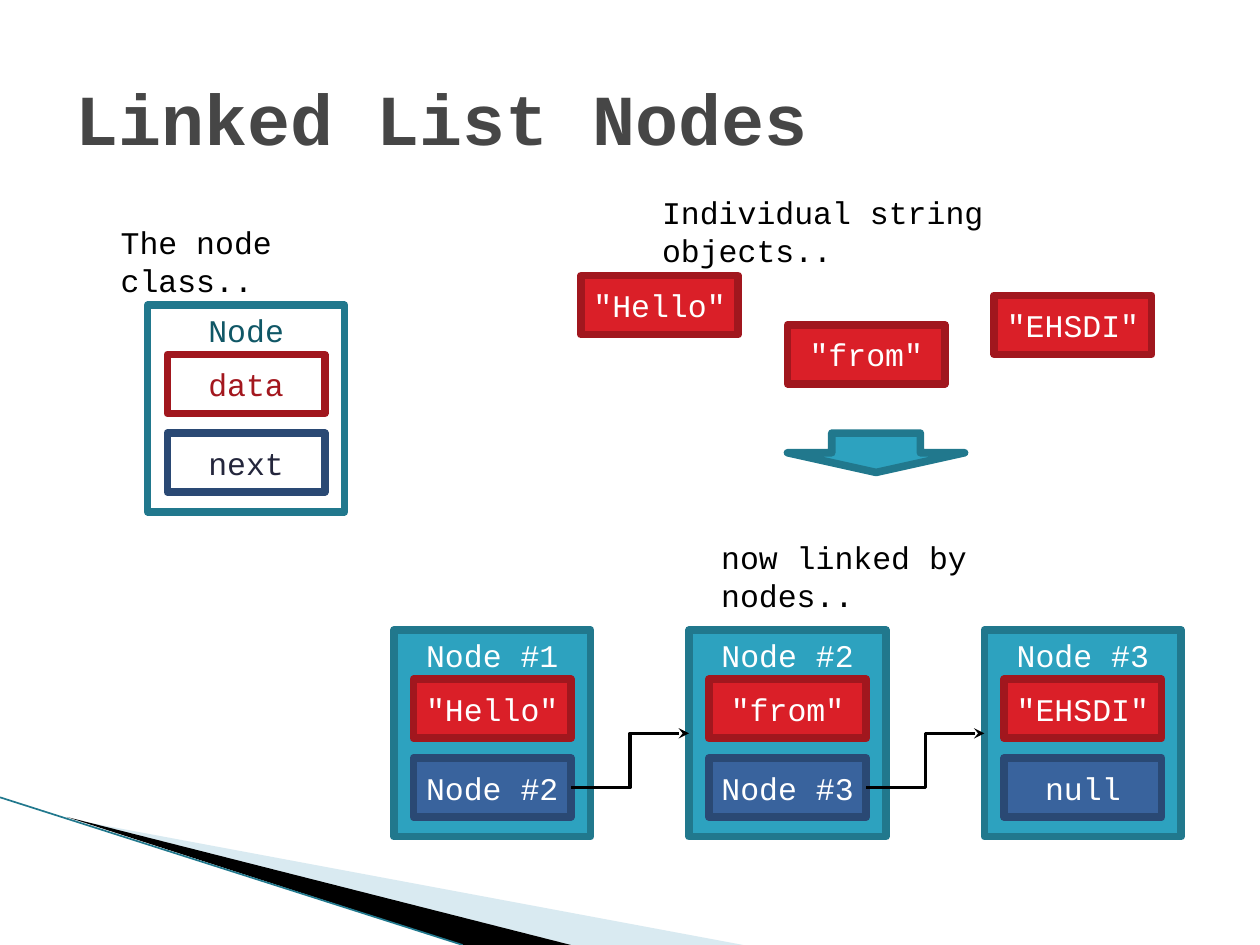
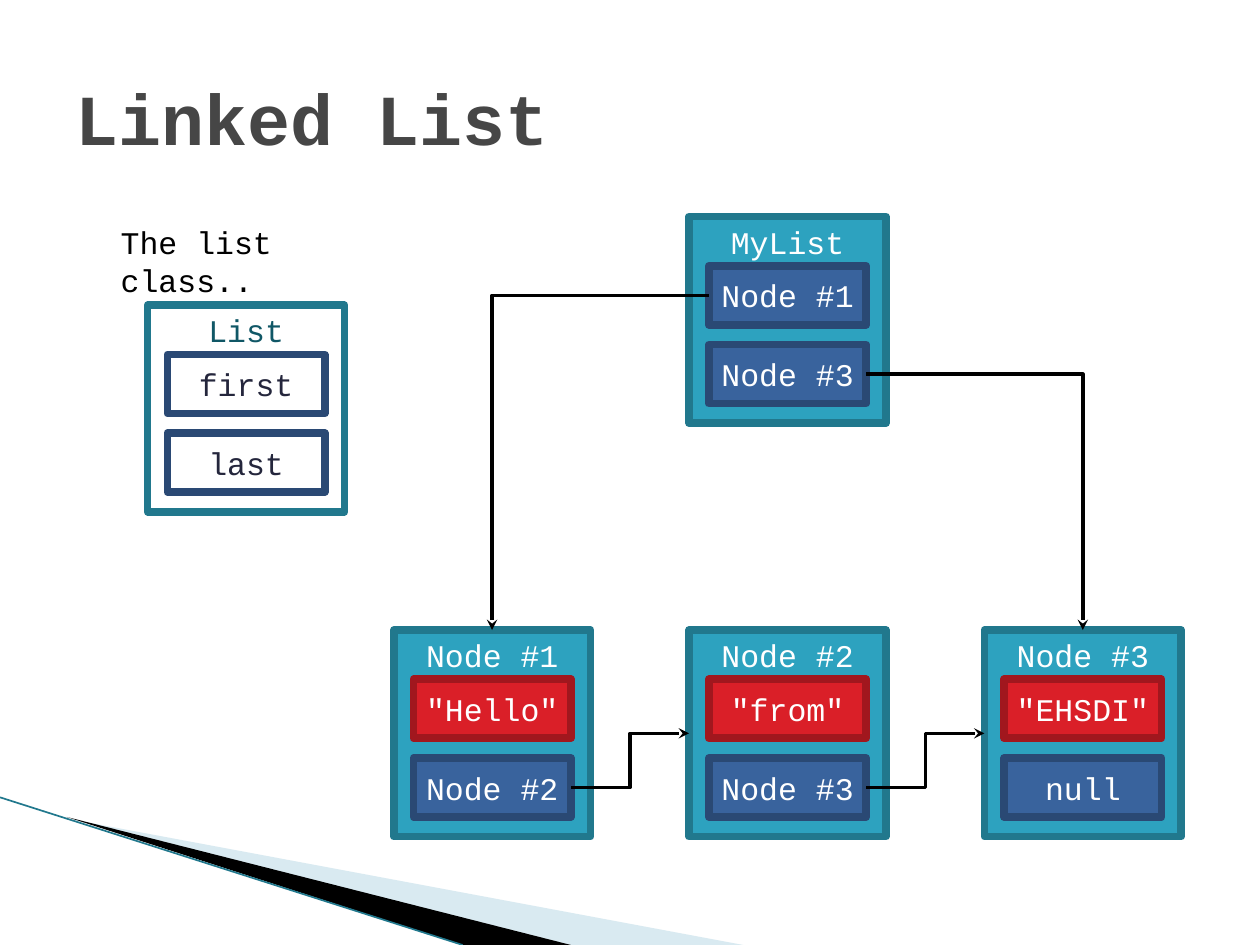
from dataclasses import dataclass

from lxml.etree import SubElement
from pptx import Presentation
from pptx.dml.color import RGBColor as Rgb
from pptx.enum.shapes import MSO_CONNECTOR as Connector, MSO_SHAPE as Preset
from pptx.enum.text import MSO_ANCHOR as Anchor, PP_ALIGN as Align
from pptx.oxml.ns import qn
from pptx.util import Inches, Pt

WIDTH, HEIGHT = Inches(10), Inches(7.5)
UNIT = WIDTH / 64
TOP, LEFT, BOTTOM, RIGHT = range(4)
NODE_SIZE = (10, 10.5)
FIELD_SIZE = (8, 3)
FIELD_OFFSETS = ((1, 2.5), (1, 6.5))


@dataclass(frozen=True)
class Look:
    """Fill, outline and text colour of a box; no fill means outline only."""
    fill: str | None
    line: str
    text: str


@dataclass(frozen=True)
class Theme:
    """Colours, font and type sizes shared by the slides."""
    font: str = "Courier New"
    title_size: int = 41
    body_size: int = 18
    border: float = 4.33
    title: str = "464646"
    ink: str = "000000"
    band: str = "A0CBDC"
    edge: str = "21788D"
    node: Look = Look("2DA2BF", "21788D", "FFFFFF")
    string: Look = Look("DA1F28", "A1171E", "FFFFFF")
    link: Look = Look("39639D", "2A4974", "FFFFFF")
    node_outline: Look = Look(None, "21788D", "105766")
    string_outline: Look = Look(None, "A1171E", "A3171E")
    link_outline: Look = Look(None, "2A4974", "24263C")


THEME = Theme()


def grid(*values):
    """Turn grid units into slide lengths."""
    return [round(value * UNIT) for value in values]


def apply(target, formats):
    """Set each attribute named in a dict of format values."""
    for name, value in formats.items():
        setattr(target, name, value)


def write(shape, text, color, size=THEME.body_size, bold=False,
          align=Align.LEFT, **frame_formats):
    """Put one formatted paragraph in a shape."""
    frame = shape.text_frame
    frame.text = text
    apply(frame, {"word_wrap": True, **frame_formats})
    paragraph = frame.paragraphs[0]
    paragraph.alignment = align
    apply(paragraph.font, {"name": THEME.font, "size": Pt(size), "bold": bold})
    paragraph.font.color.rgb = Rgb.from_string(color)


def add_box(slide, place, size, look, text="", anchor=Anchor.MIDDLE,
            preset=Preset.RECTANGLE):
    """Draw a bordered preset shape, with centred text if given."""
    shape = slide.shapes.add_shape(preset, *grid(*place, *size))
    shape.shadow.inherit = False
    if look.fill:
        shape.fill.solid()
        shape.fill.fore_color.rgb = Rgb.from_string(look.fill)
    else:
        shape.fill.background()
    shape.line.color.rgb = Rgb.from_string(look.line)
    shape.line.width = Pt(THEME.border)
    if text:
        write(shape, text, look.text, align=Align.CENTER,
              vertical_anchor=anchor, margin_left=0, margin_right=0)
    return shape


def add_record(slide, place, look, name, fields):
    """Draw a named box holding two fields; return the box and its fields."""
    box = add_box(slide, place, NODE_SIZE, look, name, Anchor.TOP)
    column, row = place
    parts = [add_box(slide, (column + across, row + down), FIELD_SIZE, field_look, text)
             for (across, down), (text, field_look) in zip(FIELD_OFFSETS, fields)]
    return box, parts


def add_caption(slide, place, width, text):
    """Write a plain caption."""
    caption = slide.shapes.add_textbox(*grid(*place, width, 2.5))
    write(caption, text, THEME.ink)


def style_connector(connector, color, width):
    """Give a connector its colour and width, without a shadow."""
    connector.line.color.rgb = Rgb.from_string(color)
    connector.line.width = Pt(width)
    SubElement(connector.element.spPr, qn("a:effectLst"))


def add_pointer(slide, source, source_side, target, target_side):
    """Join two boxes by an elbow arrow, with one bend when it ends on top."""
    connector = slide.shapes.add_connector(Connector.ELBOW, 0, 0, 0, 0)
    connector.begin_connect(source, source_side)
    connector.end_connect(target, target_side)
    if target_side == TOP:
        connector.element.spPr.find(qn("a:prstGeom")).set("prst", "bentConnector2")
    style_connector(connector, THEME.ink, 2)
    line = connector.line._get_or_add_ln()
    SubElement(line, qn("a:tailEnd"), type="stealth")


def add_chain(slide, column=20, row=32, step=15):
    """Draw the three linked nodes in a row and return their boxes."""
    values = ('"Hello"', '"from"', '"EHSDI"')
    links = ("Node #2", "Node #3", "null")
    records = [
        add_record(slide, (column + step * index, row), THEME.node, f"Node #{index + 1}",
                   ((value, THEME.string), (link, THEME.link)))
        for index, (value, link) in enumerate(zip(values, links))]
    for (_, fields), (following, _) in zip(records, records[1:]):
        add_pointer(slide, fields[1], RIGHT, following, LEFT)
    return [box for box, _ in records]


def add_class(slide, caption, width, name, fields, column=5.5, row=11):
    """Draw a captioned class diagram."""
    add_record(slide, (column + 2, row + 4.5), THEME.node_outline, name, fields)
    add_caption(slide, (column, row), width, caption)


def add_band(slide, points, color, alpha=100):
    """Draw a filled polygon from grid points."""
    start, *others = [grid(*point) for point in points]
    builder = slide.shapes.build_freeform(*start, scale=1.0)
    builder.add_line_segments(others, close=True)
    band = builder.convert_to_shape()
    band.shadow.inherit = False
    band.fill.solid()
    band.fill.fore_color.rgb = Rgb.from_string(color)
    band.line.fill.background()
    fill_color = band.element.spPr.find(qn("a:solidFill"))[0]
    SubElement(fill_color, qn("a:alpha"), val=str(alpha * 1000))
    return band


def decorate_layout(slide):
    """Build the corner bands and place them on the slide's layout."""
    pale = add_band(slide, ((3.5, 41.6), (37.75, 48), (29, 48)), THEME.band, 40)
    dark = add_band(slide, ((3.4, 41.5), (29, 48), (23.5, 48)), THEME.ink)
    edge = slide.shapes.add_connector(Connector.STRAIGHT, *grid(0, 40.5, 23.5, 48))
    style_connector(edge, THEME.edge, 0.95)
    for shape in (pale, dark, edge):
        slide.slide_layout.shapes.element.append(shape.element)


def add_titled_slide(presentation, text):
    """Add a title-only slide with its title in place."""
    slide = presentation.slides.add_slide(presentation.slide_layouts[5])
    title = slide.shapes.title
    apply(title, {"left": round(WIDTH * 0.05), "top": round(HEIGHT * 0.04),
                  "width": round(WIDTH * 0.9), "height": round(HEIGHT / 6)})
    write(title, text, THEME.title, THEME.title_size, True,
          vertical_anchor=Anchor.MIDDLE)
    return slide


def build_nodes_slide(presentation):
    """Show strings becoming a chain of nodes."""
    slide = add_titled_slide(presentation, "Linked List Nodes")
    decorate_layout(slide)
    for text, place in (('"Hello"', (29.5, 14)), ('"from"', (40, 16.5)),
                        ('"EHSDI"', (50.5, 15))):
        add_box(slide, place, FIELD_SIZE, THEME.string, text)
    add_chain(slide)
    add_box(slide, (40, 22), (9, 2), THEME.node, preset=Preset.DOWN_ARROW)
    add_class(slide, "The node class..", 14, "Node",
              (("data", THEME.string_outline), ("next", THEME.link_outline)))
    add_caption(slide, (33, 9.5), 21.25, "Individual string objects..")
    add_caption(slide, (36, 27), 18.5, "now linked by nodes..")


def build_list_slide(presentation):
    """Show a list pointing at its first and last nodes."""
    slide = add_titled_slide(presentation, "Linked List")
    first_node, _, last_node = add_chain(slide)
    add_class(slide, "The list class..", 12.5, "List",
              (("first", THEME.link_outline), ("last", THEME.link_outline)))
    _, (first, last) = add_record(slide, (35, 11), THEME.node, "MyList",
                                  (("Node #1", THEME.link), ("Node #3", THEME.link)))
    add_pointer(slide, first, LEFT, first_node, TOP)
    add_pointer(slide, last, RIGHT, last_node, TOP)


def main():
    """Build and save the presentation."""
    presentation = Presentation()
    apply(presentation, {"slide_width": WIDTH, "slide_height": HEIGHT})
    build_nodes_slide(presentation)
    build_list_slide(presentation)
    presentation.save("out.pptx")


if __name__ == "__main__":
    main()
